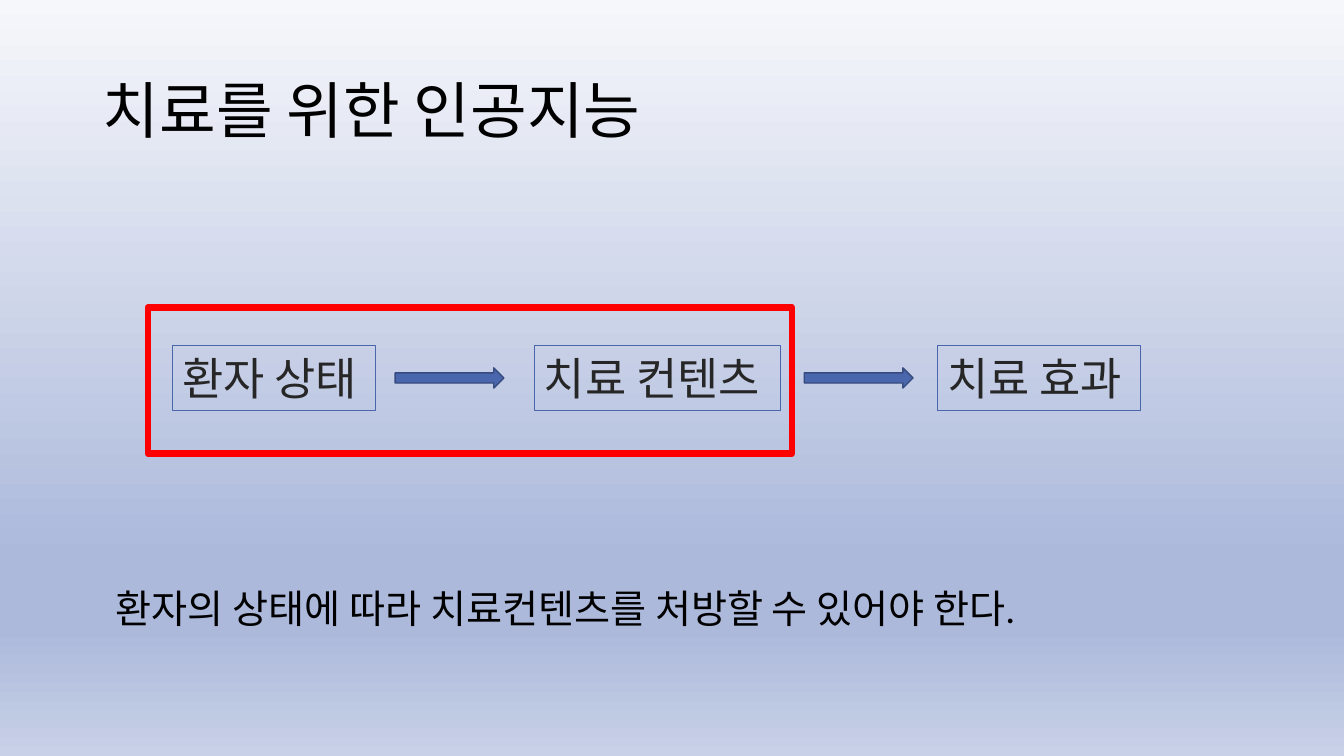
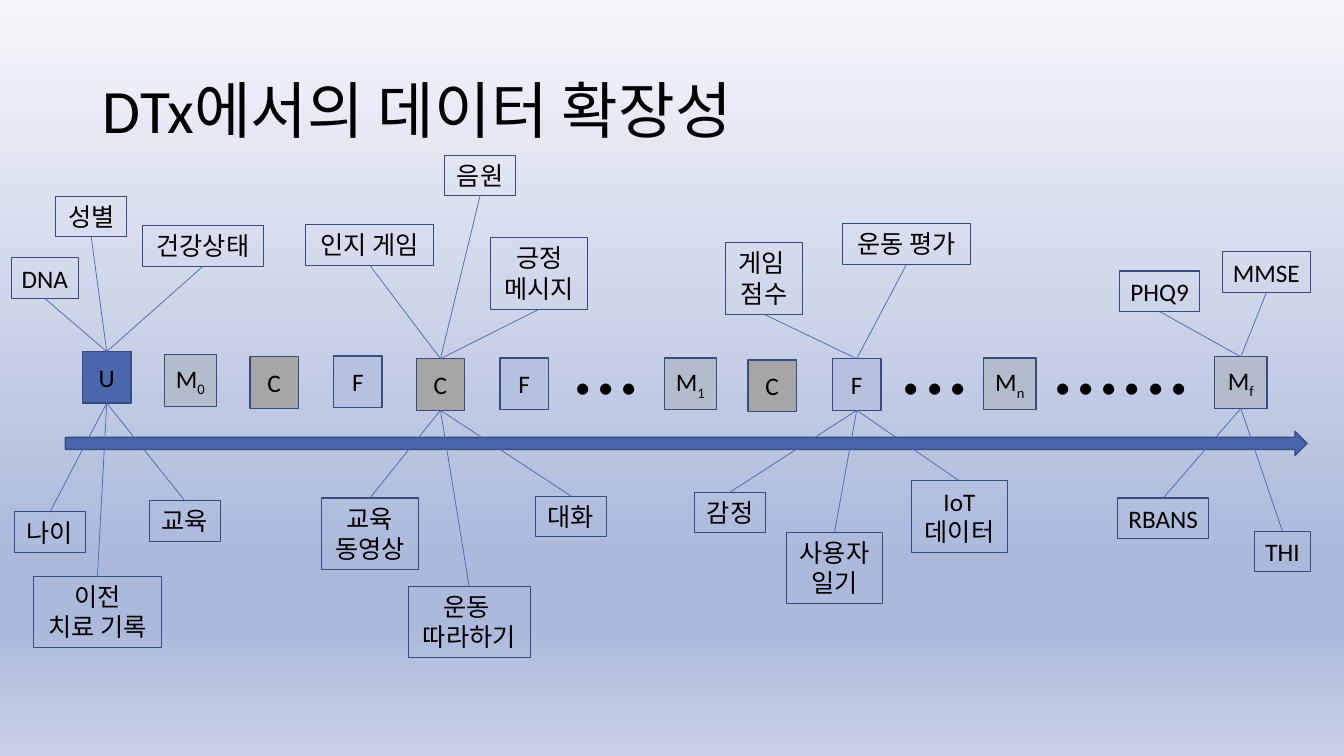
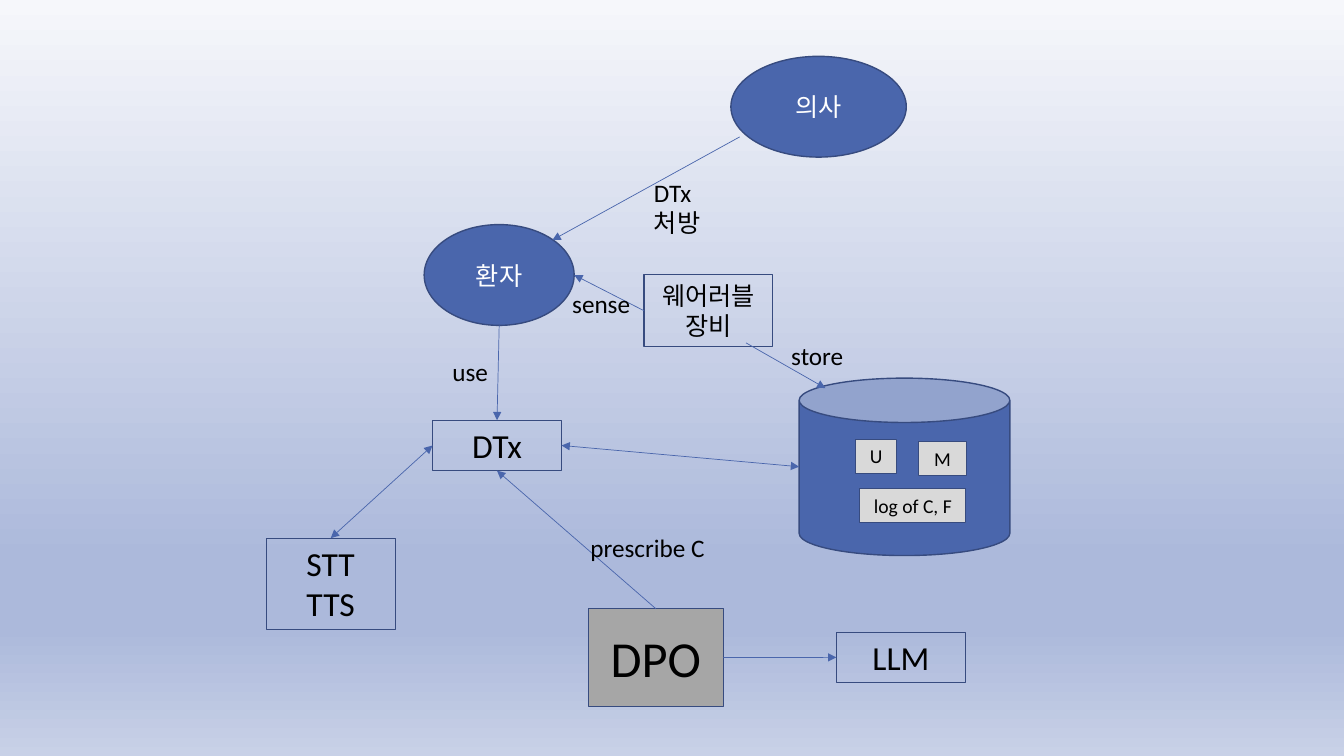
from dataclasses import dataclass, replace
from typing import NamedTuple

from lxml import etree
from pptx import Presentation
from pptx import util as u
from pptx.dml import color
from pptx.enum import shapes, text
from pptx.oxml import ns

KIND = shapes.MSO_SHAPE
ALIGN = text.PP_ALIGN
MID = text.MSO_ANCHOR.MIDDLE
TOP = text.MSO_ANCHOR.TOP


@dataclass(frozen=True)
class Theme:
    blue: str = "4A66AC"
    navy: str = "374B7F"
    grey: str = "A6A6A6"
    pale: str = "D9D9D9"
    steel: str = "B2BCCB"
    sky: str = "B5C1DF"
    red: str = "FF0000"
    ink: str = "000000"
    coal: str = "262626"
    white: str = "FFFFFF"
    latin: str = "Calibri"
    asian: str = "Noto Sans CJK KR"
    title: int = 44
    dots: int = 66
    big: int = 36
    step: int = 32
    body: int = 28
    mid: int = 24
    note: int = 18
    tile: int = 14
    back: tuple = ((0, "F6F7FB"), (74, "ACB9DB"), (83, "ACB9DB"), (100, "C8D1E7"))


T = Theme()


class Area(NamedTuple):
    x: float
    y: float
    w: float
    h: float


class Point(NamedTuple):
    x: float
    y: float


class Side(NamedTuple):
    box: object
    site: int


@dataclass(frozen=True)
class Type:
    size: int = T.note
    ink: str = T.ink
    font: str = T.latin
    align: int = ALIGN.CENTER
    anchor: int = MID
    wrap: bool = True
    grow: bool = False
    lead: float = 1.0


@dataclass(frozen=True)
class Paint:
    fill: str = ""
    line: str = T.navy
    width: float = 1


class Note(NamedTuple):
    label: str
    x: float
    y: float
    w: float


class Chip(NamedTuple):
    label: str
    x: float
    y: float
    above: tuple = ()
    below: tuple = ()


THIN = Paint(width=0.75)
SOLID = Paint(T.blue)
PLAIN = Type(align=ALIGN.LEFT, anchor=TOP, wrap=False, grow=True)
SMALL = replace(PLAIN, align=ALIGN.CENTER)
GROW = replace(SMALL, wrap=True)
CHIPS = {"U": (1.22, T.blue), "C": (1.22, T.grey),
         "F": (1.22, T.sky), "M": (1.32, T.steel)}


def rgb(code: str) -> color.RGBColor:
    return color.RGBColor.from_string(code)


def cm(area: tuple) -> list:
    return [u.Cm(n) for n in area]


def write(shape, words: str, look: Type) -> None:
    """Fill a shape with lines of text; what follows "_" is a subscript."""
    frame = shape.text_frame
    size = text.MSO_AUTO_SIZE
    form = {"word_wrap": look.wrap, "vertical_anchor": look.anchor,
            "auto_size": size.SHAPE_TO_FIT_TEXT if look.grow else size.NONE}
    for key, val in form.items():
        setattr(frame, key, val)
    for i, row in enumerate(words.split("\n")):
        para = frame.add_paragraph() if i else frame.paragraphs[0]
        para.alignment = look.align
        para.line_spacing = look.lead
        for low, part in enumerate(row.split("_")):
            run = para.add_run()
            run.text = part
            for key, val in {"size": u.Pt(look.size), "name": look.font}.items():
                setattr(run.font, key, val)
            run.font.color.rgb = rgb(look.ink)
            props = run.font._element
            etree.SubElement(props, ns.qn("a:ea"), typeface=T.asian)
            if low:
                props.set("baseline", "-25000")


def draw(slide, area: Area, paint: Paint, words: str = "",
         look: Type = Type(), kind: int = KIND.RECTANGLE):
    shape = slide.shapes.add_shape(kind, *cm(area))
    shape.shadow.inherit = False
    if paint.fill:
        shape.fill.solid()
        shape.fill.fore_color.rgb = rgb(paint.fill)
    else:
        shape.fill.background()
    shape.line.color.rgb = rgb(paint.line)
    shape.line.width = u.Pt(paint.width)
    if words:
        write(shape, words, look)
    return shape


def label(slide, area: Area, words: str, look: Type = PLAIN):
    box = slide.shapes.add_textbox(*cm(area))
    write(box, words, look)
    return box


def link(slide, start: Point | Side, end: Point | Side,
         head: bool = False, tail: bool = False) -> None:
    """Draw a line; an end given as a Side is joined to its box."""
    ends = [p if isinstance(p, Point) else Point(0, 0) for p in (start, end)]
    line = slide.shapes.add_connector(
        shapes.MSO_CONNECTOR.STRAIGHT, *cm(ends[0]), *cm(ends[1]))
    for join, spot in ((line.begin_connect, start), (line.end_connect, end)):
        if isinstance(spot, Side):
            join(spot.box, spot.site)
    line.line.color.rgb = rgb(T.blue)
    line.line.width = u.Pt(0.5)
    props = line.element.spPr
    stroke = props.find(ns.qn("a:ln"))
    for tag, on in (("a:headEnd", head), ("a:tailEnd", tail)):
        if on:
            etree.SubElement(stroke, ns.qn(tag), type="triangle")
    etree.SubElement(props, ns.qn("a:effectLst"))


def shade(master) -> None:
    """Give every slide the same gradient background."""
    fill = master.background.fill
    fill.gradient()
    fill.gradient_angle = 270
    stops = master.element.xpath("./p:cSld/p:bg//a:gsLst")[0]
    for old in list(stops):
        stops.remove(old)
    for pos, code in T.back:
        stop = etree.SubElement(stops, ns.qn("a:gs"), pos=str(pos * 1000))
        etree.SubElement(stop, ns.qn("a:srgbClr"), val=code)


def page(deck, title: str = ""):
    """Add a slide, title-only when a title is given and blank otherwise."""
    slide = deck.slides.add_slide(deck.slide_layouts[5 if title else 6])
    if title:
        head = slide.shapes.title
        spot = cm(Area(2.34, 1.02, 29.21, 3.68))
        for key, val in zip(("left", "top", "width", "height"), spot):
            setattr(head, key, val)
        write(head, title, Type(T.title, align=ALIGN.LEFT, lead=0.9))
    return slide


def flow(deck) -> None:
    slide = page(deck, "치료를 위한 인공지능")
    look = replace(PLAIN, size=T.step, ink=T.coal, font=T.asian)
    for words, x, w in (("환자 상태", 4.34, 5.13), ("치료 컨텐츠", 13.46, 6.2),
                        ("치료 효과", 23.62, 5.13)):
        draw(slide, Area(x, 8.71, w, 1.63), Paint(line=T.blue, width=0.75), words, look)
    for x in (9.96, 20.27):
        draw(slide, Area(x, 9.27, 2.74, 0.51), SOLID, kind=KIND.RIGHT_ARROW)
    draw(slide, Area(3.73, 7.75, 16.23, 3.68), Paint(line=T.red, width=4.75))
    box = label(slide, Area(2.67, 14.48, 26.7, 1.55),
                "환자의 상태에 따라 치료컨텐츠를 처방할 수 있어야 한다.",
                Type(T.body, align=ALIGN.LEFT, anchor=TOP))
    for edge in ("left", "top", "right", "bottom"):
        setattr(box.text_frame, f"margin_{edge}", u.Cm(0.25))


STEPS = (
    Chip("U", 2.08, 8.86,
         (Note("성별", 1.4, 4.95, 1.8), Note("DNA", 0.28, 6.5, 1.7),
          Note("건강상태", 3.58, 5.69, 3.07)),
         (Note("나이", 0.36, 12.9, 1.8), Note("교육", 3.76, 12.62, 1.8),
          Note("이전\n치료 기록", 0.84, 14.53, 3.23))),
    Chip("M_0", 4.14, 8.94),
    Chip("C", 6.3, 8.99),
    Chip("F", 8.41, 8.97),
    Chip("C", 10.49, 9.04,
         (Note("인지 게임", 7.7, 5.66, 3.23), Note("음원", 11.2, 3.91, 1.8),
          Note("긍정\n메시지", 12.37, 5.99, 2.44)),
         (Note("교육\n동영상", 8.1, 12.55, 2.44),
          Note("운동 \n따라하기", 10.29, 14.78, 3.07),
          Note("대화", 13.49, 12.5, 1.8))),
    Chip("F", 12.6, 9.02),
    Chip("M_1", 16.74, 9.02),
    Chip("C", 18.85, 9.07),
    Chip("F", 20.98, 9.04,
         (Note("게임 \n점수", 18.29, 6.12, 1.93),
          Note("운동 평가", 21.23, 5.64, 3.23)),
         (Note("감정", 17.5, 12.4, 1.8), Note("IoT\n데이터", 22.96, 12.12, 2.44),
          Note("사용자\n일기", 19.81, 13.41, 2.44))),
    Chip("M_n", 24.79, 9.02),
    Chip("M_f", 30.61, 8.99,
         (Note("PHQ9", 28.22, 6.83, 2.01), Note("MMSE", 30.81, 6.35, 2.21)),
         (Note("RBANS", 28.17, 12.55, 2.29), Note("THI", 31.62, 13.39, 1.4))),
)


def pin(slide, note: Note):
    high = 1.8 if "\n" in note.label else 1.02
    return draw(slide, Area(note.x, note.y, note.w, high), THIN, note.label, SMALL)


def course(deck) -> None:
    slide = page(deck, "DTx에서의 데이터 확장성")
    draw(slide, Area(1.65, 10.87, 31.29, 0.61), SOLID, kind=KIND.RIGHT_ARROW)
    for words, x, w in (("...", 14.15, 2.29), ("...", 22.43, 2.29), ("......", 26.24, 4.06)):
        label(slide, Area(x, 7.5, w, 3.07), words, replace(PLAIN, size=T.dots))
    for chip in STEPS:
        wide, fill = CHIPS[chip.label[0]]
        box = draw(slide, Area(chip.x, chip.y, wide, 1.3), Paint(fill), chip.label)
        for note in chip.above:
            link(slide, Side(pin(slide, note), 2), Side(box, 0))
        for note in chip.below:
            link(slide, Side(box, 2), Side(pin(slide, note), 0))


def system(deck) -> None:
    slide = page(deck)
    for words, area in (("환자", Area(10.69, 5.66, 3.78, 2.54)),
                        ("의사", Area(18.42, 1.42, 4.42, 2.54))):
        draw(slide, area, SOLID, words, Type(ink=T.white), KIND.OVAL)
    draw(slide, Area(20.14, 9.53, 5.31, 4.47), SOLID, kind=KIND.CAN)
    for words, x, y, w in (("U", 21.56, 11.07, 1.04), ("M", 23.14, 11.13, 1.22),
                           ("log of C, F", 21.67, 12.32, 2.67)):
        draw(slide, Area(x, y, w, 0.86), replace(THIN, fill=T.pale), words,
             replace(GROW, size=T.tile))
    llm, dtx, voice, worn = (
        draw(slide, Area(x, y, 3.25, h), THIN, words, replace(GROW, size=size))
        for words, x, y, h, size in (
            ("LLM", 21.08, 15.93, 1.27, T.mid), ("DTx", 10.9, 10.59, 1.27, T.mid),
            ("STT\nTTS", 6.71, 13.56, 2.31, T.mid),
            ("웨어러블\n장비", 16.23, 6.93, 1.8, T.note)))
    dpo = draw(slide, Area(14.83, 15.34, 3.4, 2.46), Paint(T.grey), "DPO", Type(T.big))
    for start, end, both in (
            (Point(12.58, 8.2), Side(dtx, 0), False),
            (Side(dpo, 0), Side(dtx, 2), False),
            (Point(20.14, 11.76), Side(dtx, 3), True),
            (Side(dtx, 1), Side(voice, 0), True),
            (Side(dpo, 3), Side(llm, 1), False),
            (Point(18.64, 3.45), Point(13.92, 6.05), False),
            (Side(worn, 1), Point(14.47, 6.93), False),
            (Point(18.8, 8.64), Point(20.8, 9.78), False)):
        link(slide, start, end, head=both, tail=True)
    for words, x, y, w in (("use", 11.15, 8.86, 1.42), ("prescribe C", 14.63, 13.28, 3.43),
                           ("sense", 14.17, 7.14, 1.98), ("store", 19.69, 8.46, 1.83)):
        label(slide, Area(x, y, w, 1.02), words)
    order = label(slide, Area(16.23, 4.34, 2.9, 1.02), "DTx 처방",
                  replace(PLAIN, wrap=True, grow=False))
    order.text_frame.margin_right = u.Cm(0.8)


def main() -> None:
    deck = Presentation()
    deck.slide_width, deck.slide_height = u.Cm(33.87), u.Cm(19.05)
    shade(deck.slide_master)
    for build in (flow, course, system):
        build(deck)
    deck.save("out.pptx")


if __name__ == "__main__":
    main()
